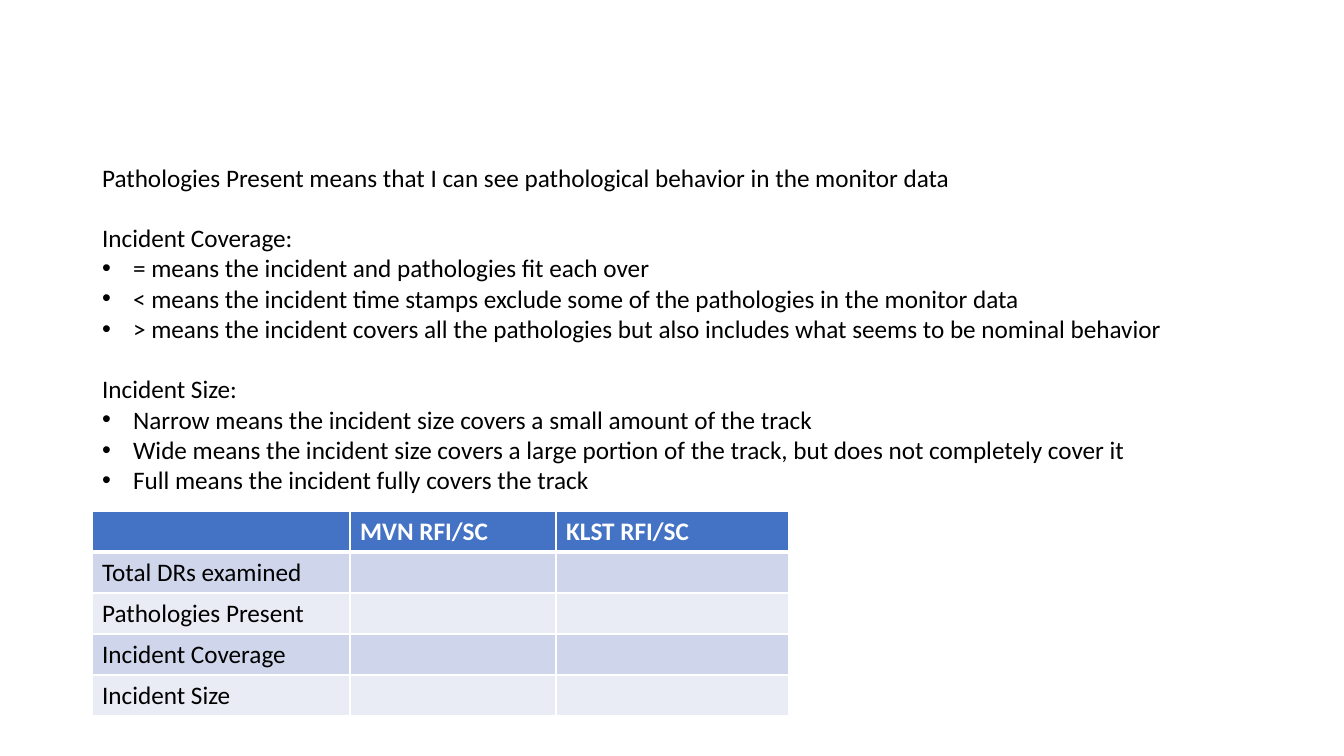
import pptx
import pptx.dml.color
import pptx.enum.text
import pptx.oxml
import pptx.oxml.ns
import pptx.util

SCALE = 914400 / 100.8  # EMU per pixel
COLORS = {
    "text": "000000",
    "white": "FFFFFF",
    "header": "4472C4",
    "band_dark": "CFD5EA",
    "band_light": "E9EBF5",
}
NAMESPACE = pptx.oxml.ns.nsdecls("a")


def emu(pixels):
    return pptx.util.Emu(round(pixels * SCALE))


def rgb(name):
    return pptx.dml.color.RGBColor.from_string(COLORS[name])


class SlideBuilder:
    font_name = "Calibri"
    font_size = 18
    line_height = 21.6
    bullet_indent = 31

    def __init__(self, deck):
        self.slide = deck.slides.add_slide(deck.slide_layouts[1])
        title = self.slide.shapes.title
        title.element.getparent().remove(title.element)

    def add_run(self, para, text, color="text", bold=False):
        span = para.add_run()
        span.text = text
        span.font.name = self.font_name
        span.font.size = pptx.util.Pt(self.font_size)
        span.font.bold = bold
        span.font.color.rgb = rgb(color)

    def set_bullet(self, para, bulleted):
        properties = para._p.get_or_add_pPr()
        indent = emu(self.bullet_indent) if bulleted else 0
        properties.set("marL", str(indent))
        properties.set("indent", str(-indent))
        if bulleted:
            properties.append(pptx.oxml.parse_xml(f'<a:buFont {NAMESPACE} typeface="Arial"/>'))
            properties.append(pptx.oxml.parse_xml(f'<a:buChar {NAMESPACE} char="•"/>'))
        else:
            properties.append(pptx.oxml.parse_xml(f"<a:buNone {NAMESPACE}/>"))

    def add_body(self, left, top, width, height, sections):
        body = self.slide.placeholders[1]
        body.left, body.top = emu(left), emu(top)
        body.width, body.height = emu(width), emu(height)
        frame = body.text_frame
        frame.word_wrap = True
        frame.auto_size = pptx.enum.text.MSO_AUTO_SIZE.NONE
        frame.vertical_anchor = pptx.enum.text.MSO_ANCHOR.TOP
        para = frame.paragraphs[0]
        for number, (heading, bullets) in enumerate(sections):
            for position, text in enumerate([heading] + bullets):
                if number or position:
                    para = frame.add_paragraph()
                starts_section = number > 0 and position == 0
                para.space_before = pptx.util.Pt(self.line_height if starts_section else 0)
                para.space_after = pptx.util.Pt(0)
                para.line_spacing = 1.0
                self.set_bullet(para, position > 0)
                self.add_run(para, text)

    def set_borders(self, cell, top_width, bottom_width):
        properties = cell._tc.get_or_add_tcPr()
        widths = {"lnL": 1, "lnR": 1, "lnT": top_width, "lnB": bottom_width}
        for index, (side, width) in enumerate(widths.items()):
            properties.insert(index, pptx.oxml.parse_xml(
                f'<a:{side} {NAMESPACE} w="{pptx.util.Pt(width)}"><a:solidFill>'
                f'<a:srgbClr val="{COLORS["white"]}"/></a:solidFill></a:{side}>'))

    def add_table(self, left, top, column_widths, row_height, rows):
        frame = self.slide.shapes.add_table(
            len(rows), len(column_widths), emu(left), emu(top),
            emu(sum(column_widths)), emu(row_height * len(rows)))
        table = frame.table
        for column, width in zip(table.columns, column_widths):
            column.width = emu(width)
        for row_index, texts in enumerate(rows):
            header = row_index == 0
            band = "band_dark" if row_index % 2 else "band_light"
            for column_index, text in enumerate(texts):
                cell = table.cell(row_index, column_index)
                cell.fill.solid()
                cell.fill.fore_color.rgb = rgb("header" if header else band)
                self.set_borders(cell, 3 if row_index == 1 else 1, 3 if header else 1)
                if text:
                    self.add_run(cell.text_frame.paragraphs[0], text,
                                 "white" if header else "text", header)


deck = pptx.Presentation()
deck.slide_width = pptx.util.Inches(13.33)
deck.slide_height = pptx.util.Inches(7.5)
page = SlideBuilder(deck)

# Summary table
page.add_table(92, 511, [258, 206, 232], 41, [
    ["", "MVN RFI/SC", "KLST RFI/SC"],
    ["Total DRs examined", "", ""],
    ["Pathologies Present", "", ""],
    ["Incident Coverage", "", ""],
    ["Incident Size", "", ""],
])

# Definitions of the table rows
page.add_body(92, 157, 1093, 346, [
    ("Pathologies Present means that I can see pathological behavior in the monitor data", []),
    ("Incident Coverage:", [
        "= means the incident and pathologies fit each over",
        "< means the incident time stamps exclude some of the pathologies in the monitor data",
        "> means the incident covers all the pathologies but also includes "
        "what seems to be nominal behavior",
    ]),
    ("Incident Size:", [
        "Narrow means the incident size covers a small amount of the track",
        "Wide means the incident size covers a large portion of the track, "
        "but does not completely cover it",
        "Full means the incident fully covers the track",
    ]),
])

deck.save("out.pptx")
